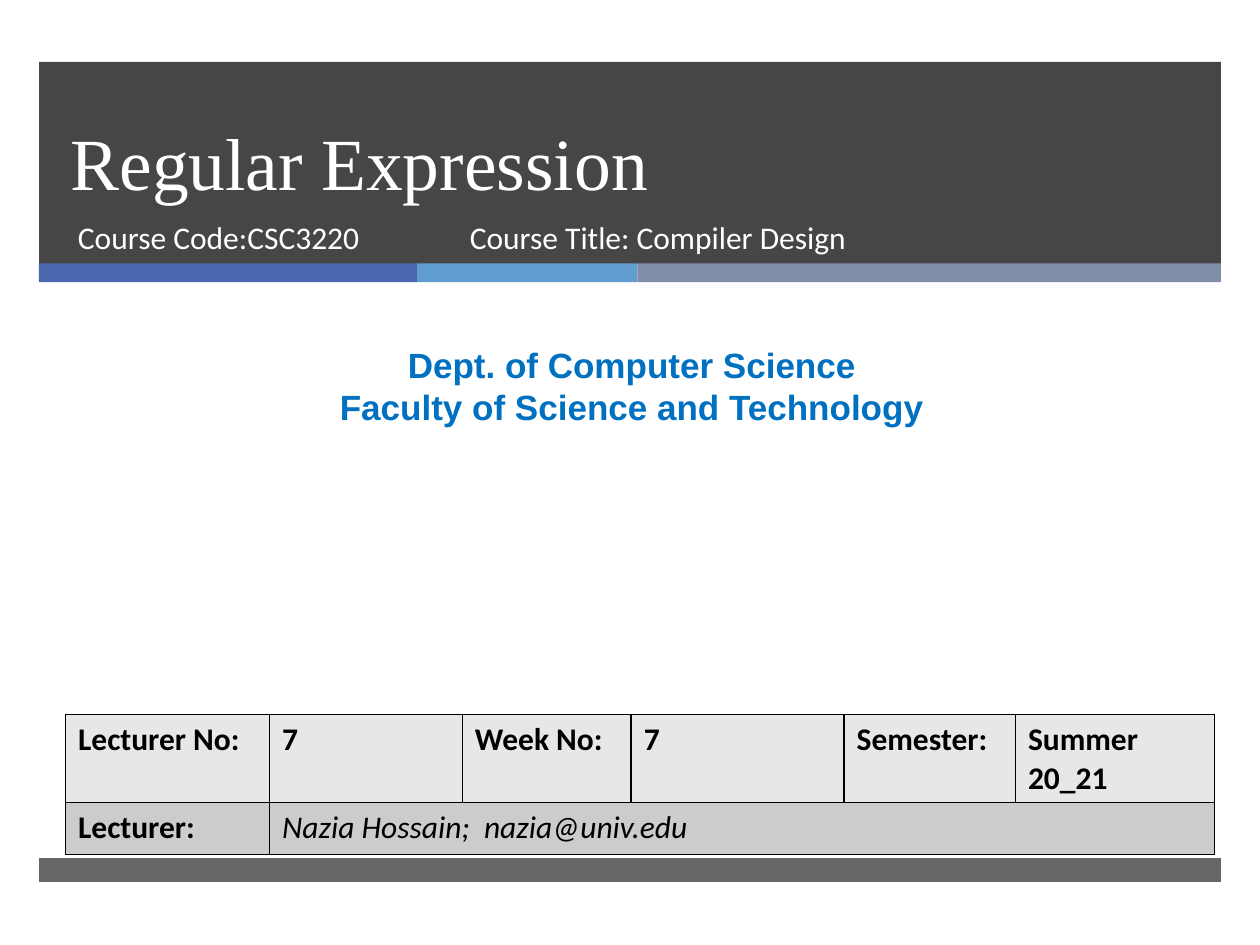
from lxml import etree
from pptx import Presentation
from pptx.dml.color import RGBColor
from pptx.enum.shapes import MSO_SHAPE
from pptx.enum.text import MSO_ANCHOR, MSO_AUTO_SIZE, PP_ALIGN
from pptx.oxml.ns import qn
from pptx.util import Inches, Pt

RECTANGLE = MSO_SHAPE.RECTANGLE
LEFT, CENTER = PP_ALIGN.LEFT, PP_ALIGN.CENTER
WHITE = RGBColor(0xFF, 0xFF, 0xFF)
BLACK = RGBColor(0, 0, 0)
CHARCOAL = RGBColor(0x26, 0x26, 0x26)
HEADING_BLUE = RGBColor(0x00, 0x70, 0xC0)
ROW_FILLS = [RGBColor(0xE7, 0xE7, 0xE7), RGBColor(0xCC, 0xCC, 0xCC)]

TITLE = "Regular Expression"
BAND_LEFT, BAND_WIDTH = 0.31, 9.38
DARK_BANDS = [(0.49, 1.61, 85), (6.81, 0.19, 70)]  # top, height, opacity %
STRIPE_TOP, STRIPE_HEIGHT = 2.09, 0.15
STRIPES = [
    (3.0, RGBColor(0x4A, 0x66, 0xAC)),
    (1.75, RGBColor(0x62, 0x9D, 0xD1)),
    (4.63, RGBColor(0x7F, 0x8F, 0xA9)),
]
TEXTS = [  # lines, box, font, size, colour, bold, alignment
    (["Course Code:CSC3220"], (0.52, 1.68, 3.05, 0.53),
     "Calibri", 18, WHITE, False, LEFT),
    (["Course Title: Compiler Design"], (3.63, 1.68, 4.55, 0.53),
     "Calibri", 18, WHITE, False, LEFT),
    (["Dept. of Computer Science", "Faculty of Science and Technology"],
     (0.08, 2.68, 9.87, 0.77), "Arial", 20, HEADING_BLUE, True, CENTER),
]
TABLE_LEFT, TABLE_TOP = 0.52, 5.67
COLUMN_WIDTHS = [1.62, 1.53, 1.34, 1.69, 1.36, 1.58]
ROW_HEIGHTS = [0.7, 0.41]
LECTURER = "Nazia Hossain;  nazia@univ.edu"
TABLE_ROWS = [
    ["Lecturer No:", "7", "Week No:", "7", "Semester:", "Summer 20_21"],
    ["Lecturer:", LECTURER, "", "", "", ""],
]


def style_paragraph(paragraph, font_name, size, color, bold=False, alignment=LEFT):
    """Set the font and alignment of a paragraph."""
    font = paragraph.font
    font.name, font.size, font.bold = font_name, Pt(size), bold
    font.color.rgb = color
    paragraph.alignment = alignment


def add_band(slide, left, top, width, height, color, opacity=100):
    """Add a plain filled rectangle, optionally see-through."""
    shape = slide.shapes.add_shape(RECTANGLE, *map(Inches, (left, top, width, height)))
    shape.shadow.inherit = False
    shape.line.fill.background()
    shape.fill.solid()
    shape.fill.fore_color.rgb = color
    if opacity < 100:
        color_element = shape._element.spPr.find(".//" + qn("a:srgbClr"))
        etree.SubElement(color_element, qn("a:alpha"), val=str(opacity * 1000))


def add_text(slide, lines, box, *style):
    """Add a wrapped text box with one paragraph per line."""
    frame = slide.shapes.add_textbox(*map(Inches, box)).text_frame
    frame.word_wrap = True
    frame.text = "\n".join(lines)
    for paragraph in frame.paragraphs:
        style_paragraph(paragraph, *style)


def place_title(slide):
    """Fill the title placeholder and bring it in front of the bands."""
    title = slide.shapes.title
    title.left, title.top, title.width, title.height = map(
        Inches, (0.46, 0.49, 8.54, 1.19))
    frame = title.text_frame
    frame.text = TITLE
    frame.word_wrap = True
    frame.auto_size = MSO_AUTO_SIZE.NONE
    frame.vertical_anchor = MSO_ANCHOR.BOTTOM
    style_paragraph(frame.paragraphs[0], "Times New Roman", 42, WHITE)
    frame.paragraphs[0].line_spacing = Pt(46)
    slide.shapes._spTree.append(title._element)


def add_borders(cell):
    """Draw a thin black line on each side of a cell, ahead of its fill."""
    properties = cell._tc.get_or_add_tcPr()
    for index, side in enumerate(("a:lnL", "a:lnR", "a:lnT", "a:lnB")):
        line = etree.Element(qn(side), w=str(Pt(1)))
        fill = etree.SubElement(line, qn("a:solidFill"))
        etree.SubElement(fill, qn("a:srgbClr"), val=str(BLACK))
        properties.insert(index, line)


def add_course_table(slide):
    """Add the lecture details table."""
    table = slide.shapes.add_table(
        len(TABLE_ROWS), len(COLUMN_WIDTHS), Inches(TABLE_LEFT), Inches(TABLE_TOP),
        Inches(sum(COLUMN_WIDTHS)), Inches(sum(ROW_HEIGHTS))).table
    for column, width in zip(table.columns, COLUMN_WIDTHS):
        column.width = Inches(width)
    for row, height, texts, fill in zip(table.rows, ROW_HEIGHTS, TABLE_ROWS, ROW_FILLS):
        row.height = Inches(height)
        for cell, text in zip(row.cells, texts):
            cell.text = text
            cell.fill.solid()
            cell.fill.fore_color.rgb = fill
            paragraph = cell.text_frame.paragraphs[0]
            style_paragraph(paragraph, "Calibri", 18, BLACK, text != LECTURER)
            paragraph.font.italic = text == LECTURER
            add_borders(cell)
    table.cell(1, 1).merge(table.cell(1, len(COLUMN_WIDTHS) - 1))


presentation = Presentation()
presentation.slide_width, presentation.slide_height = Inches(10), Inches(7.5)
slide = presentation.slides.add_slide(presentation.slide_layouts[5])

for top, height, opacity in DARK_BANDS:
    add_band(slide, BAND_LEFT, top, BAND_WIDTH, height, CHARCOAL, opacity)
stripe_left = BAND_LEFT
for width, color in STRIPES:
    add_band(slide, stripe_left, STRIPE_TOP, width, STRIPE_HEIGHT, color)
    stripe_left += width
place_title(slide)
for text in TEXTS:
    add_text(slide, *text)
add_course_table(slide)

presentation.save("out.pptx")
